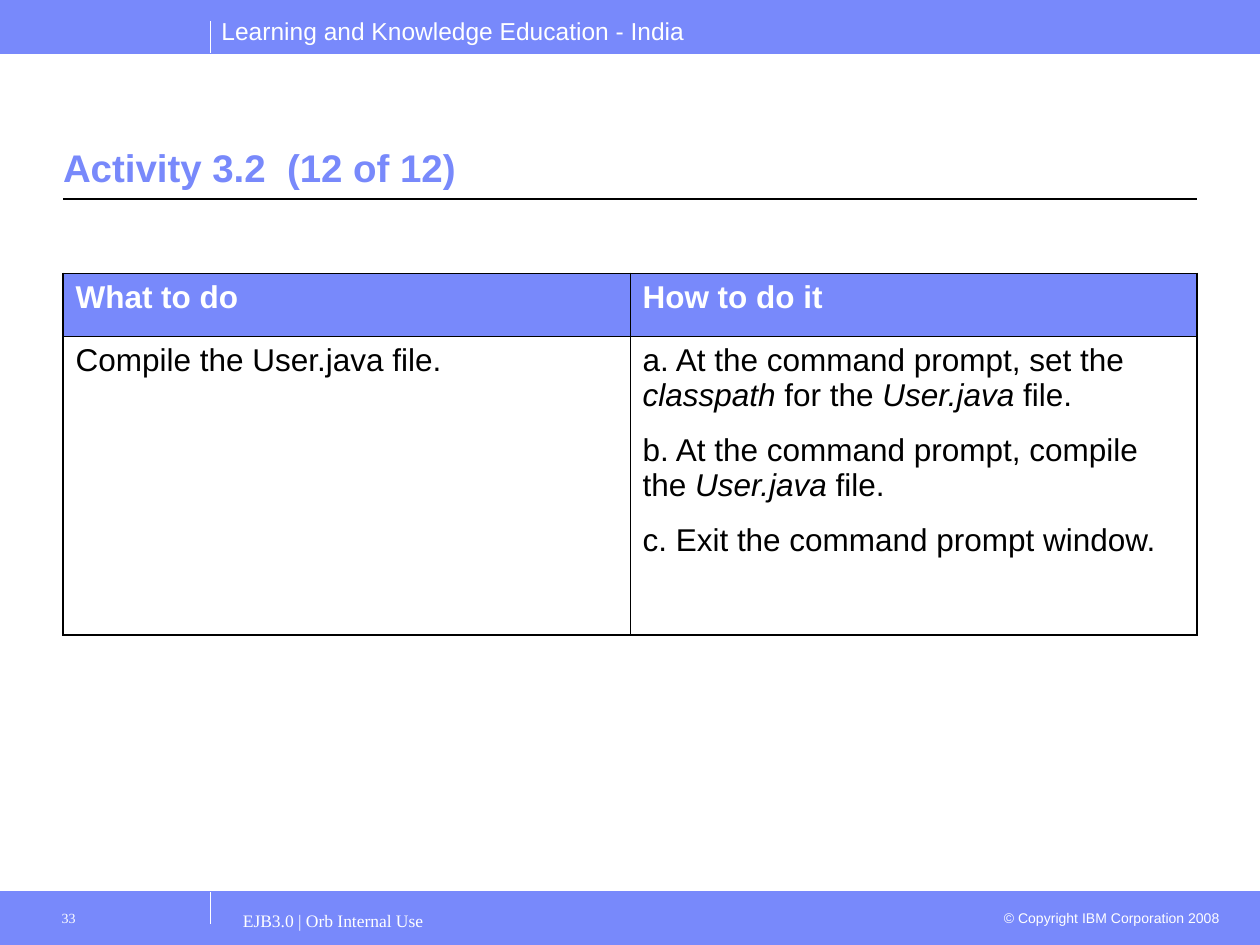
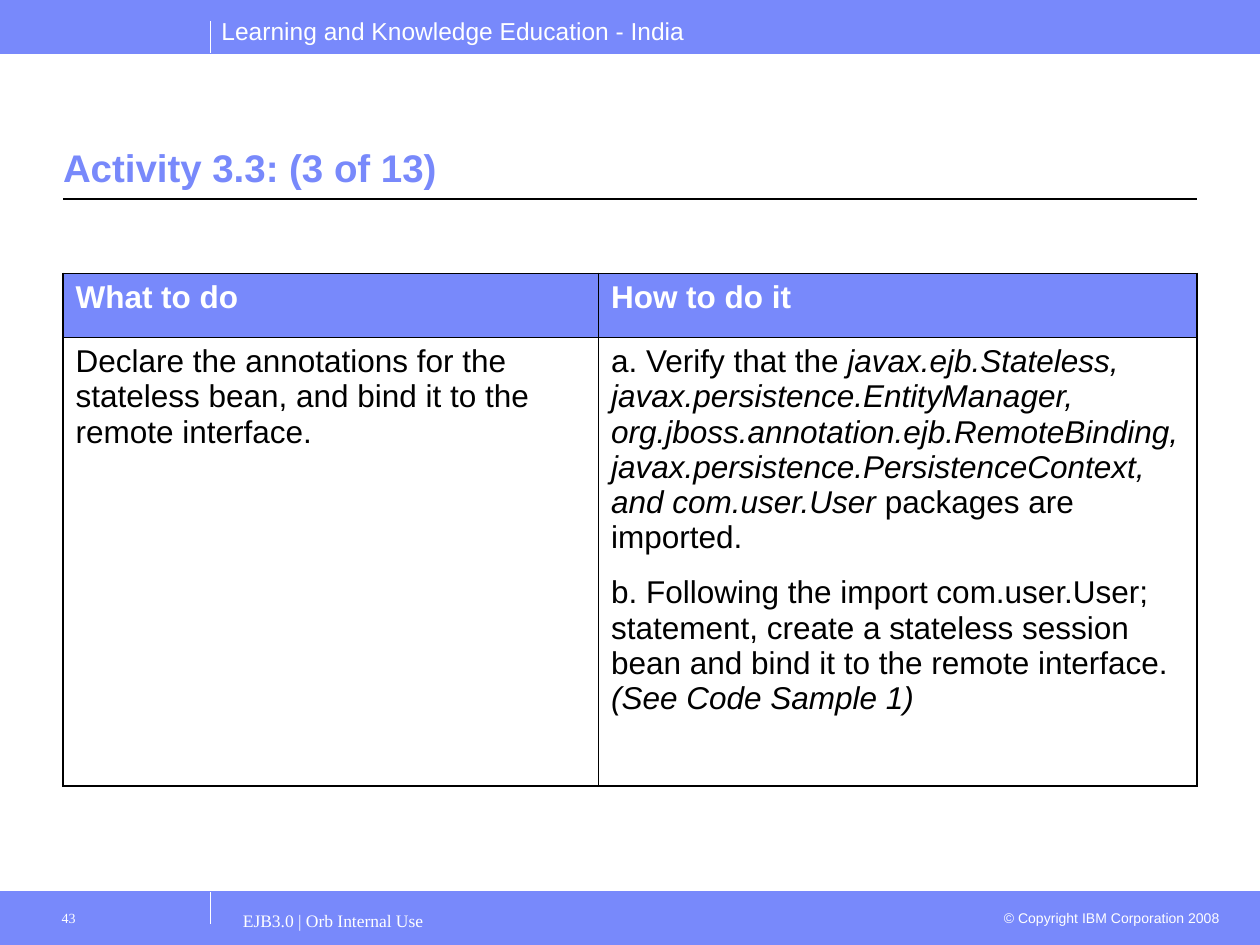
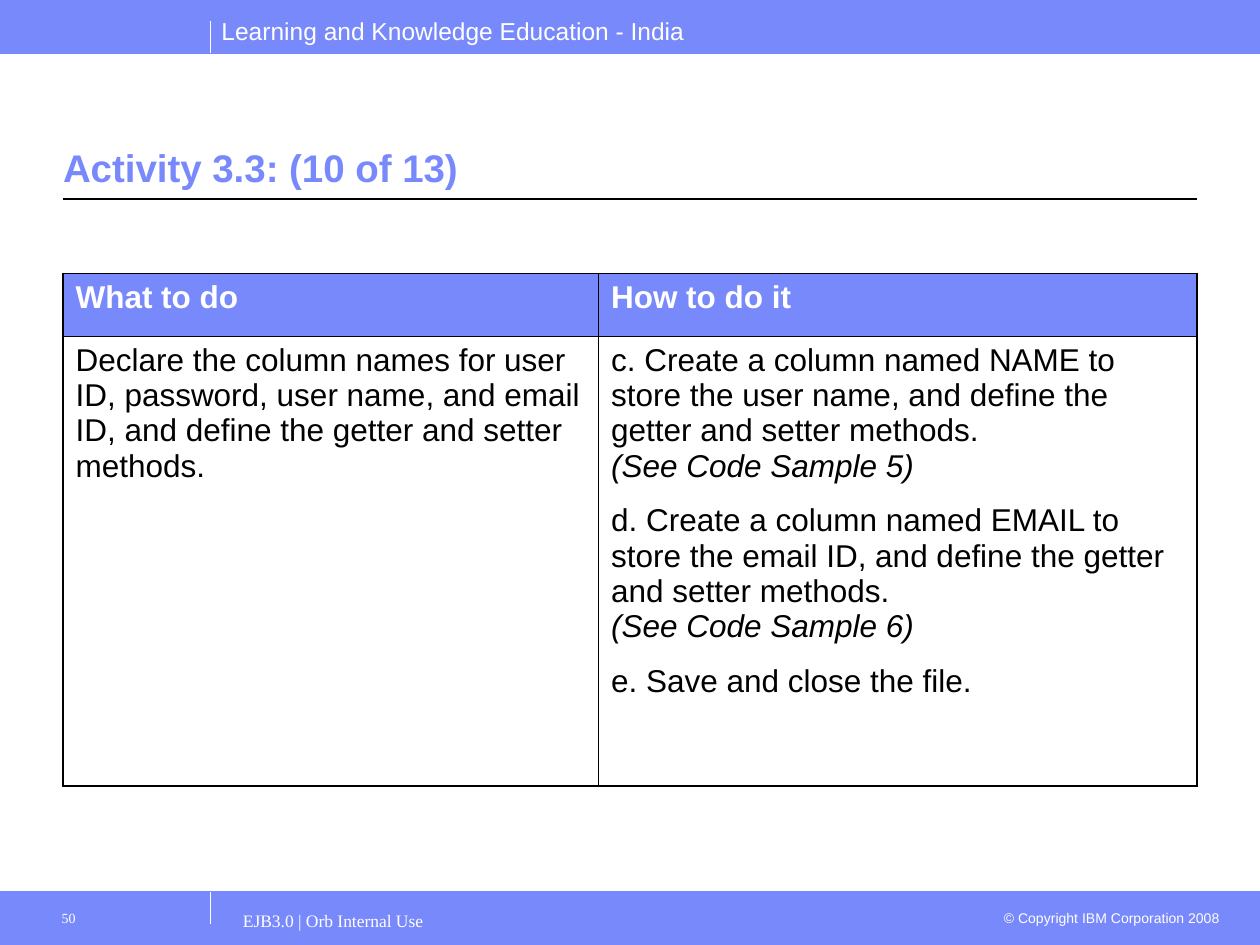
from lxml import etree
from pptx import Presentation
from pptx.dml.color import RGBColor
from pptx.enum.shapes import MSO_CONNECTOR, MSO_SHAPE
from pptx.enum.text import MSO_ANCHOR, MSO_AUTO_SIZE, PP_ALIGN
from pptx.oxml.ns import qn
from pptx.util import Inches, Pt

BLUE = RGBColor(0x78, 0x89, 0xFB)
WHITE = RGBColor(0xFF, 0xFF, 0xFF)
BLACK = RGBColor(0, 0, 0)
RECT = MSO_SHAPE.RECTANGLE
STRAIGHT = MSO_CONNECTOR.STRAIGHT
LEFT, RIGHT = PP_ALIGN.LEFT, PP_ALIGN.RIGHT
TOP, BOTTOM = MSO_ANCHOR.TOP, MSO_ANCHOR.BOTTOM
FIXED = MSO_AUTO_SIZE.NONE
SANS, SERIF = "Arial", "Times New Roman"
WIDE, HIGH, BAND = 10, 7.5, 0.42
EDGE, TICK = 0.5, 1.67
THICK, THIN = 1.08, 0.45
HEADS = ("What to do", "How to do it")

PAGES = [
    {
        "title": "Activity 3.2  (12 of 12)",
        "num": 33,
        "cols": (4.5, 4.5),
        "rows": (0.5, 2.37),
        "task": ["Compile the User.java file."],
        "steps": [
            "a. At the command prompt, set the *classpath* for the *User.java* file.",
            "b. At the command prompt, compile the *User.java* file.",
            "c. Exit the command prompt window.",
        ],
    },
    {
        "title": "Activity 3.3: (3 of 13)",
        "num": 43,
        "cols": (4.25, 4.75),
        "rows": (0.51, 3.56),
        "task": ["Declare the annotations for the stateless bean, "
                 "and bind it to the remote interface."],
        "steps": [
            "a. Verify that the *javax.ejb.Stateless, "
            "javax.persistence.EntityManager, "
            "org.jboss.annotation.ejb.RemoteBinding, "
            "javax.persistence.PersistenceContext, "
            "and com.user.User* packages are imported.",
            "b. Following the import com.user.User; statement, create a "
            "stateless session bean and bind it to the remote interface. \n"
            "*(See Code Sample 1)*",
        ],
    },
    {
        "title": "Activity 3.3: (10 of 13)",
        "num": 50,
        "cols": (4.25, 4.75),
        "rows": (0.5, 3.57),
        "task": ["Declare the column names for user ID, password, user name, "
                 "and email ID, and define the getter and setter methods."],
        "steps": [
            "c. Create a column named NAME to store the user name, "
            "and define the getter and setter methods.\n*(See Code Sample 5)*",
            "d. Create a column named EMAIL to store the email ID, "
            "and define the getter and setter methods.\n*(See Code Sample 6)*",
            "e. Save and close the file.",
        ],
    },
]


def write(frame, paras, size=18, font=SANS, color=WHITE, bold=False,
          align=LEFT, after=0):
    """Fill a text frame; asterisks switch italics on and off."""
    for i, text in enumerate(paras):
        para = frame.paragraphs[0] if i == 0 else frame.add_paragraph()
        para.alignment = align
        para.space_before, para.space_after = Pt(0), Pt(after)
        for j, part in enumerate(text.split("*")):
            for k, line in enumerate(part.split("\n")):
                if k:
                    para.add_line_break()
                if not line:
                    continue
                run = para.add_run()
                run.text = line
                face = run.font
                face.name, face.size = font, Pt(size)
                face.bold, face.italic = bold, j % 2 == 1
                face.color.rgb = color


def inset(frame, left=0.1, top=0.05, right=0.1, wrap=True, anchor=TOP):
    """Set the margins, wrap and anchor of a text frame."""
    frame.auto_size, frame.word_wrap = FIXED, wrap
    frame.vertical_anchor = anchor
    frame.margin_left, frame.margin_right = Inches(left), Inches(right)
    frame.margin_top, frame.margin_bottom = Inches(top), Inches(0.05)


def label(slide, box, text, left=0.1, top=0.05, wrap=True, **style):
    """Add a text box with one paragraph."""
    frame = slide.shapes.add_textbox(*map(Inches, box)).text_frame
    inset(frame, left=left, top=top, wrap=wrap)
    write(frame, [text], **style)


def rule(slide, x1, y1, x2, y2, color, width=0.75):
    """Draw a straight line without a shadow."""
    line = slide.shapes.add_connector(STRAIGHT, *map(Inches, (x1, y1, x2, y2)))
    line.line.color.rgb, line.line.width = color, Pt(width)
    etree.SubElement(line._element.spPr, qn("a:effectLst"))


def band(slide, top):
    """Draw a full-width blue band."""
    bar = slide.shapes.add_shape(RECT, 0, Inches(top), Inches(WIDE), Inches(BAND))
    bar.shadow.inherit = False
    bar.fill.solid()
    bar.fill.fore_color.rgb = bar.line.color.rgb = BLUE
    bar.line.width = Pt(0.75)


def frame_page(slide, num):
    """Draw the bands, rules and footers that all slides share."""
    foot = HIGH - BAND
    for top in (foot, 0):
        band(slide, top)
    for y in (BAND, foot):
        rule(slide, 0, y, WIDE, y, BLUE, 0.5)
    for y in (foot, BAND - 0.25):
        rule(slide, TICK, y + 0.25, TICK, y, WHITE)
    rule(slide, EDGE, 1.58, WIDE - EDGE, 1.58, BLACK)
    label(slide, (1.66, 0.08, 3.87, 0.34),
          "Learning and Knowledge Education - India", wrap=False, size=14)
    label(slide, (7.83, 7.17, 1.95, 0.24),
          "© Copyright IBM Corporation 2008", size=8, align=RIGHT)
    label(slide, (1.83, 7.15, 6, 0.35), "EJB3.0 | Orb Internal Use",
          top=0.07, size=10, font=SERIF)
    label(slide, (0.33, 7.15, 1.33, 0.35), str(num),
          left=0.16, top=0.07, size=8, font=SERIF)


def head(slide, text):
    """Place and format the title."""
    title = slide.shapes.title
    title.left, title.top = Inches(EDGE), Inches(0.64)
    title.width, title.height = Inches(WIDE - 2 * EDGE), Inches(0.92)
    inset(title.text_frame, left=0, right=0, anchor=BOTTOM)
    write(title.text_frame, [text], size=22, color=BLUE, bold=True)


def border(cell, **sides):
    """Set the width of each border of a cell."""
    props = cell._tc.get_or_add_tcPr()
    for side, width in sides.items():
        line = etree.SubElement(props, qn("a:ln" + side), w=str(Pt(width)))
        fill = etree.SubElement(line, qn("a:solidFill"))
        etree.SubElement(fill, qn("a:srgbClr"), val=str(BLACK))


def grid(slide, page):
    """Add the table of tasks and steps."""
    cols, rows = page["cols"], page["rows"]
    box = (EDGE, 2.17, sum(cols), sum(rows))
    table = slide.shapes.add_table(2, 2, *map(Inches, box)).table
    table.first_row = table.horz_banding = False
    for i in range(2):
        table.columns[i].width = Inches(cols[i])
        table.rows[i].height = Inches(rows[i])
    texts = ([[name] for name in HEADS], [page["task"], page["steps"]])
    for r, row in enumerate(texts):
        for c, paras in enumerate(row):
            cell = table.cell(r, c)
            border(cell, L=THIN if c else THICK, R=THICK if c else THIN,
                   T=THIN if r else THICK, B=THICK if r else THIN)
            if r:
                cell.fill.background()
            else:
                cell.fill.solid()
                cell.fill.fore_color.rgb = BLUE
            write(cell.text_frame, paras, color=BLACK if r else WHITE,
                  bold=r == 0, after=11.2)


def main():
    """Build and save the deck."""
    deck = Presentation()
    deck.slide_width, deck.slide_height = Inches(WIDE), Inches(HIGH)
    for page in PAGES:
        slide = deck.slides.add_slide(deck.slide_layouts[5])
        frame_page(slide, page["num"])
        head(slide, page["title"])
        grid(slide, page)
    deck.save("out.pptx")


if __name__ == "__main__":
    main()
